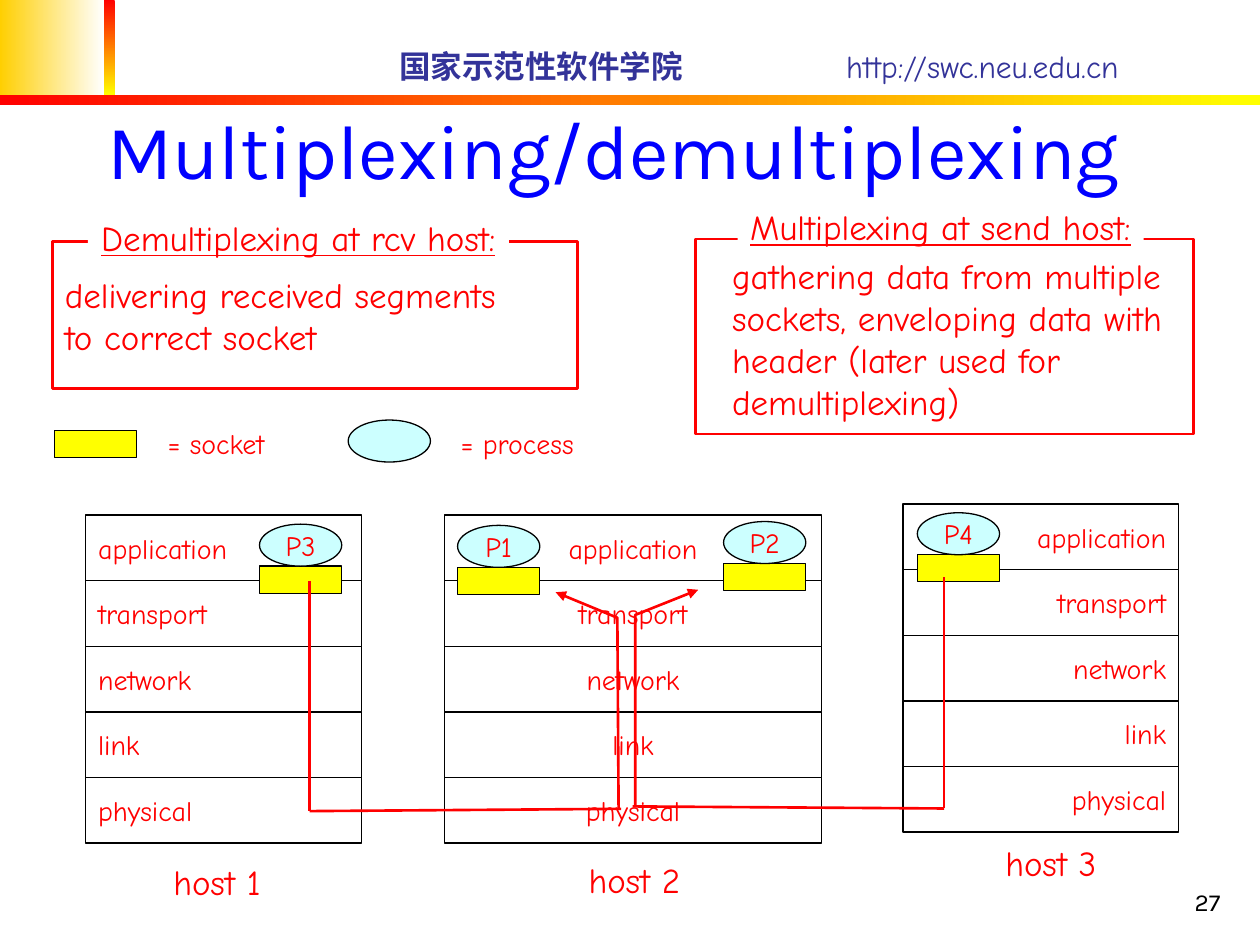
from lxml import etree
from pptx import Presentation
from pptx.dml.color import RGBColor
from pptx.enum.shapes import MSO_CONNECTOR, MSO_SHAPE
from pptx.enum.text import MSO_ANCHOR, PP_ALIGN
from pptx.oxml.ns import qn
from pptx.util import Pt

RECT, OVAL = MSO_SHAPE.RECTANGLE, MSO_SHAPE.OVAL
STRAIGHT = MSO_CONNECTOR.STRAIGHT
LEFT, CENTER, RIGHT = PP_ALIGN.LEFT, PP_ALIGN.CENTER, PP_ALIGN.RIGHT
TOP, MIDDLE, BOTTOM = MSO_ANCHOR.TOP, MSO_ANCHOR.MIDDLE, MSO_ANCHOR.BOTTOM

COLORS = {
    "red": "FF0000", "yellow": "FFFF00", "gold": "FFCF01", "white": "FFFFFF",
    "black": "000000", "blue": "0000FF", "navy": "333399", "cyan": "CCFFFF",
}
BODY_FONT, TITLE_FONT = "Comic Neue", "Karla"
LAYERS = ["application", "transport", "network", "link", "physical"]
ROW_HEIGHT = 37.5
SYMBOL_WIDTH, PROCESS_HEIGHT, SOCKET_HEIGHT = 47, 24, 15.5

# Left, top, width, text alignment of each host's protocol stack
STACKS = [(49, 294.3, 157.5, LEFT), (516, 288, 157.5, RIGHT), (254, 294.3, 215.5, CENTER)]
# Name, left, top of each process, which sits on its socket
PROCESSES = [("P1", 261.5, 300.2), ("P2", 413.5, 298), ("P3", 148.3, 299.5), ("P4", 524.2, 293)]
# Text, left, top, width, height, size of each caption
CAPTIONS = [
    ("host 1", 86, 488, 76, 32, 20),
    ("host 2", 324.5, 487, 76, 32, 20),
    ("host 3", 562.5, 477.5, 76, 32, 20),
    ("= socket", 86, 240, 75, 26.5, 16),
    ("= process", 253, 240, 85, 26.5, 16),
]
# Sending line down and across, then the arrow up to the receiving socket
ROUTES = [
    ([(177, 332), (177, 463.5), (355, 462.2)], [(353.5, 462.2), (352.8, 353), (317.5, 338.4)]),
    ([(539.5, 330), (539.5, 462), (361.5, 460.8)], [(363, 460), (363, 351.4), (399, 337)]),
]


def color(name):
    return RGBColor.from_string(COLORS[name])


def place(shape, left, top, width, height):
    shape.left, shape.top = Pt(left), Pt(top)
    shape.width, shape.height = Pt(width), Pt(height)


def style_font(font, size, ink="red", name=BODY_FONT):
    font.name, font.size = name, Pt(size)
    font.color.rgb = color(ink)


def write(shape, lines, size, align=LEFT, anchor=TOP, ink="red", name=BODY_FONT, underline=None):
    frame = shape.text_frame
    frame.word_wrap = False
    frame.vertical_anchor = anchor
    frame.text = "\n".join(lines)
    for para in frame.paragraphs:
        para.alignment = align
        style_font(para.font, size, ink, name)
        para.font.underline = underline


def add_shape(page, kind, left, top, width, height, fill=None, line=None, weight=0.75):
    shape = page.shapes.add_shape(kind, Pt(left), Pt(top), Pt(width), Pt(height))
    shape.shadow.inherit = False
    if fill:
        shape.fill.solid()
        shape.fill.fore_color.rgb = color(fill)
    else:
        shape.fill.background()
    if line:
        shape.line.color.rgb = color(line)
        shape.line.width = Pt(weight)
    else:
        shape.line.fill.background()
    return shape


def add_text(page, lines, left, top, width, height, size, **options):
    box = page.shapes.add_textbox(Pt(left), Pt(top), Pt(width), Pt(height))
    write(box, lines, size, **options)


def add_gradient(page, left, top, width, height, start, end, angle=0):
    bar = add_shape(page, RECT, left, top, width, height)
    bar.fill.gradient()
    bar.fill.gradient_angle = angle
    for stop, name in zip(bar.fill.gradient_stops, (start, end)):
        stop.color.rgb = color(name)


def add_header(page):
    add_gradient(page, 0, 0, 59.5, 54.5, "gold", "white")
    add_gradient(page, 59.5, 0, 6, 54.5, "red", "yellow", 270)
    add_gradient(page, 0, 54.5, 720, 5.5, "red", "yellow")

    box = page.shapes.add_textbox(Pt(221), Pt(23), Pt(482.5), Pt(29))
    box.text_frame.vertical_anchor = MIDDLE
    box.text_frame.word_wrap = True
    para = box.text_frame.paragraphs[0]
    tabs = etree.SubElement(para._p.get_or_add_pPr(), qn("a:tabLst"))
    etree.SubElement(tabs, qn("a:tab"), pos=str(Pt(255.5)), algn="l")
    style_font(para.font, 18, "navy")
    school = para.add_run()
    school.text = "国家示范性软件学院"
    school.font.bold = True
    site = para.add_run()
    site.text = "\thttp://swc.neu.edu.cn"


def add_socket(page, left, top):
    add_shape(page, RECT, left, top, SYMBOL_WIDTH, SOCKET_HEIGHT, "yellow", "black")


def add_process(page, left, top):
    return add_shape(page, OVAL, left, top, SYMBOL_WIDTH, PROCESS_HEIGHT, "cyan", "black")


def add_stack(page, left, top, width, align):
    for row, layer in enumerate(LAYERS):
        cell = add_shape(page, RECT, left, top + row * ROW_HEIGHT, width, ROW_HEIGHT,
                         "white", "black")
        write(cell, [layer], 16, align, MIDDLE)


def add_route(page, corners, arrow_points):
    for start, end in zip(corners, corners[1:]):
        line = page.shapes.add_connector(STRAIGHT, *map(Pt, start + end))
        line.line.color.rgb = color("red")
        line.line.width = Pt(1.5)
        etree.SubElement(line._element.spPr, qn("a:effectLst"))

    points = [(Pt(x), Pt(y)) for x, y in arrow_points]
    builder = page.shapes.build_freeform(*points[0])
    builder.add_line_segments(points[1:], close=False)
    arrow = builder.convert_to_shape()
    arrow.shadow.inherit = False
    arrow.fill.background()
    arrow.line.color.rgb = color("red")
    arrow.line.width = Pt(1.5)
    etree.SubElement(arrow.line._get_or_add_ln(), qn("a:tailEnd"), type="triangle")


def add_heading(page, text, left, top, width):
    heading = add_shape(page, RECT, left, top, width, 31.5, "white")
    write(heading, [text], 20, CENTER, underline=True)


def main():
    deck = Presentation()
    deck.slide_width, deck.slide_height = Pt(720), Pt(540)
    page = deck.slides.add_slide(deck.slide_layouts[5])

    # Header, title and page number
    add_header(page)
    title = page.shapes.title
    place(title, 54, 25, 612, 90)
    write(title, ["Multiplexing/demultiplexing"], 44, LEFT, BOTTOM, "blue", TITLE_FONT)
    add_text(page, ["27"], 554.5, 491.5, 150, 36, 14, align=RIGHT, anchor=BOTTOM,
             ink="black", name=TITLE_FONT)

    # Protocol stacks with processes and sockets
    for stack in STACKS:
        add_stack(page, *stack)
    for name, left, top in PROCESSES:
        add_socket(page, left, top + PROCESS_HEIGHT)
        write(add_process(page, left, top), [name], 16, CENTER, MIDDLE)
    for corners, arrow_points in ROUTES:
        add_route(page, corners, arrow_points)

    # Legend and host names
    add_socket(page, 31, 246)
    add_process(page, 199, 240)
    for text, left, top, width, height, size in CAPTIONS:
        add_text(page, [text], left, top, width, height, size, align=CENTER)

    # Definitions
    receiving = add_shape(page, RECT, 30, 138, 300, 84, line="red", weight=1.5)
    write(receiving, ["delivering received segments", "to correct socket"], 20, anchor=MIDDLE)
    add_heading(page, "Demultiplexing at rcv host:", 50.3, 120, 240.5)
    add_shape(page, RECT, 397.5, 136.5, 284.5, 111.5, line="red", weight=1.5)
    add_text(page, ["gathering data from multiple", "sockets, enveloping data with",
                    "header (later used for", "demultiplexing)"], 411.3, 142, 268, 104, 20)
    add_heading(page, "Multiplexing at send host:", 421.5, 114, 232)

    deck.save("out.pptx")


if __name__ == "__main__":
    main()
